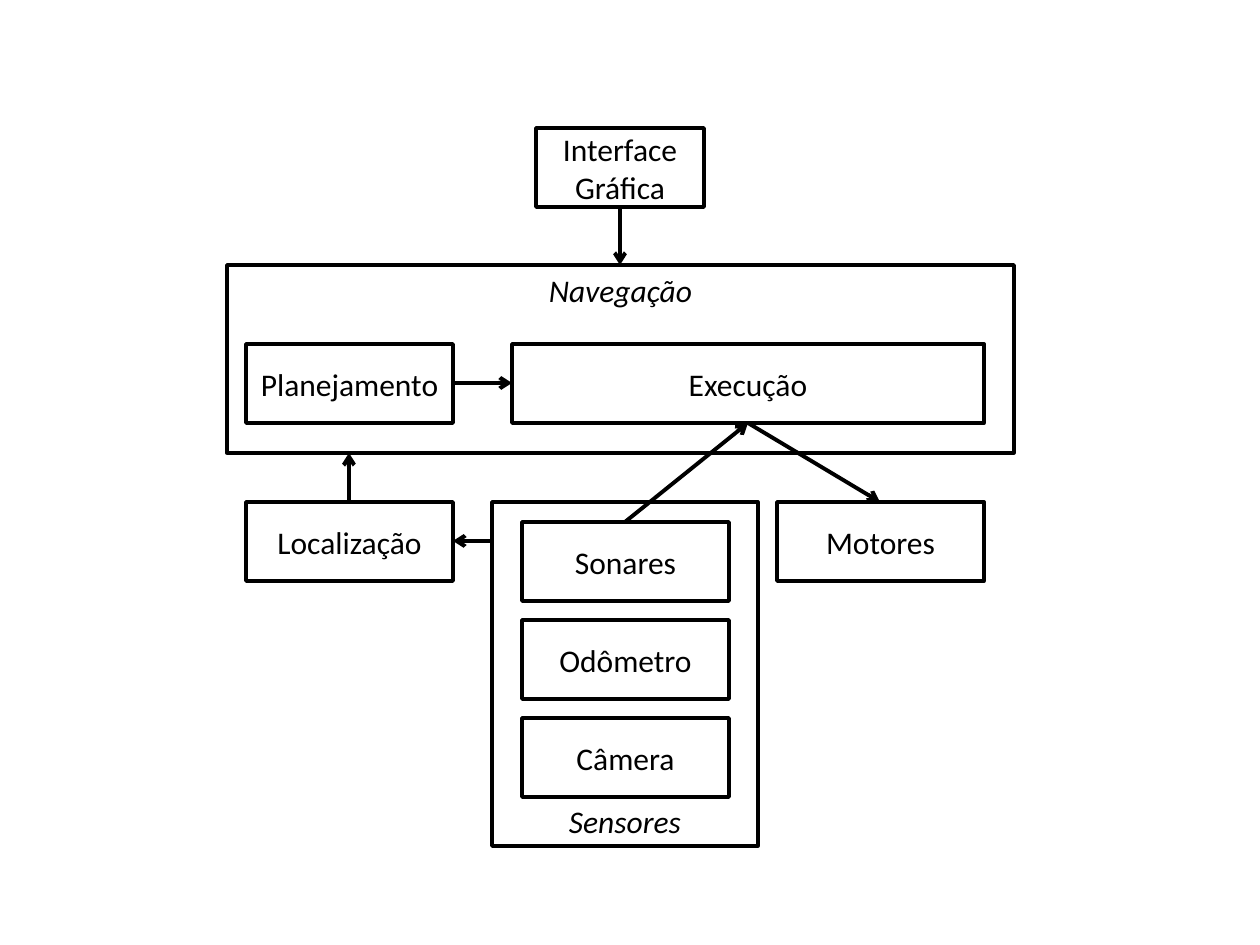
"""Draw the architecture diagram of a mobile robot's control system."""
from dataclasses import dataclass

from lxml import etree
from pptx import Presentation, util as u
from pptx.dml.color import RGBColor
from pptx.enum import shapes, text
from pptx.oxml.ns import qn
from pptx.slide import Slide

PX = 914400 / 126


@dataclass(frozen=True)
class Theme:
    ink: RGBColor = RGBColor(0, 0, 0)
    font: str = "Calibri"
    size: u.Pt = u.Pt(18)
    box_line: u.Pt = u.Pt(2)
    arrow_line: u.Pt = u.Pt(2.25)


@dataclass(frozen=True)
class Box:
    label: str
    left: int
    top: int
    width: int = 207
    height: int = 79
    anchor: text.MSO_ANCHOR = text.MSO_ANCHOR.MIDDLE
    italic: bool = False

    @property
    def center(self) -> int:
        return self.left + self.width // 2

    @property
    def middle(self) -> int:
        return self.top + self.height // 2

    @property
    def right(self) -> int:
        return self.left + self.width

    @property
    def bottom(self) -> int:
        return self.top + self.height


@dataclass(frozen=True)
class Arrow:
    start: tuple[int, int]
    end: tuple[int, int]


THEME = Theme()


def px(length: int) -> u.Emu:
    return u.Emu(round(length * PX))


def draw_box(slide: Slide, box: Box) -> None:
    shape = slide.shapes.add_shape(
        shapes.MSO_SHAPE.RECTANGLE,
        px(box.left), px(box.top), px(box.width), px(box.height),
    )
    shape.shadow.inherit = False
    shape.fill.background()
    shape.line.color.rgb = THEME.ink
    shape.line.width = THEME.box_line
    frame = shape.text_frame
    frame.word_wrap = True
    frame.vertical_anchor = box.anchor
    paragraph = frame.paragraphs[0]
    paragraph.alignment = text.PP_ALIGN.CENTER
    run = paragraph.add_run()
    run.text = box.label
    run.font.name = THEME.font
    run.font.size = THEME.size
    run.font.italic = box.italic
    run.font.color.rgb = THEME.ink


def draw_arrow(slide: Slide, arrow: Arrow) -> None:
    connector = slide.shapes.add_connector(
        shapes.MSO_CONNECTOR.STRAIGHT, *map(px, arrow.start + arrow.end)
    )
    connector.line.color.rgb = THEME.ink
    connector.line.width = THEME.arrow_line
    etree.SubElement(connector.line._get_or_add_ln(), qn("a:tailEnd"), type="arrow")
    etree.SubElement(connector._element.spPr, qn("a:effectLst"))


def main() -> None:
    sensors = Box("Sensores", 492, 502, 266, 344, text.MSO_ANCHOR.BOTTOM, True)
    navigation = Box("Navegação", 227, 265, 787, 188, text.MSO_ANCHOR.TOP, True)
    interface = Box("Interface Gráfica", 536, 128, width=168)
    planning = Box("Planejamento", 246, 344)
    execution = Box("Execução", 512, 344, width=472)
    motors = Box("Motores", 777, 502)
    location = Box("Localização", 246, 502)
    devices = [
        Box(label, 522, 522 + 98 * row)
        for row, label in enumerate(("Sonares", "Odômetro", "Câmera"))
    ]
    sonars = devices[0]
    boxes = [sensors, navigation, interface, planning, execution, motors, location]
    arrows = [
        Arrow((interface.center, interface.bottom), (navigation.center, navigation.top)),
        Arrow((planning.right, planning.middle), (execution.left, execution.middle)),
        Arrow((execution.center, execution.bottom), (motors.center, motors.top)),
        Arrow((location.center, location.top), (location.center, navigation.bottom)),
        Arrow((sensors.left, location.middle), (location.right, location.middle)),
        Arrow((sonars.center, sonars.top), (execution.center, execution.bottom)),
    ]

    presentation = Presentation()
    presentation.slide_width, presentation.slide_height = px(1260), px(945)
    slide = presentation.slides.add_slide(presentation.slide_layouts[6])
    for box in boxes:
        draw_box(slide, box)
    for arrow in arrows:
        draw_arrow(slide, arrow)
    for device in devices:
        draw_box(slide, device)
    presentation.save("out.pptx")


if __name__ == "__main__":
    main()
